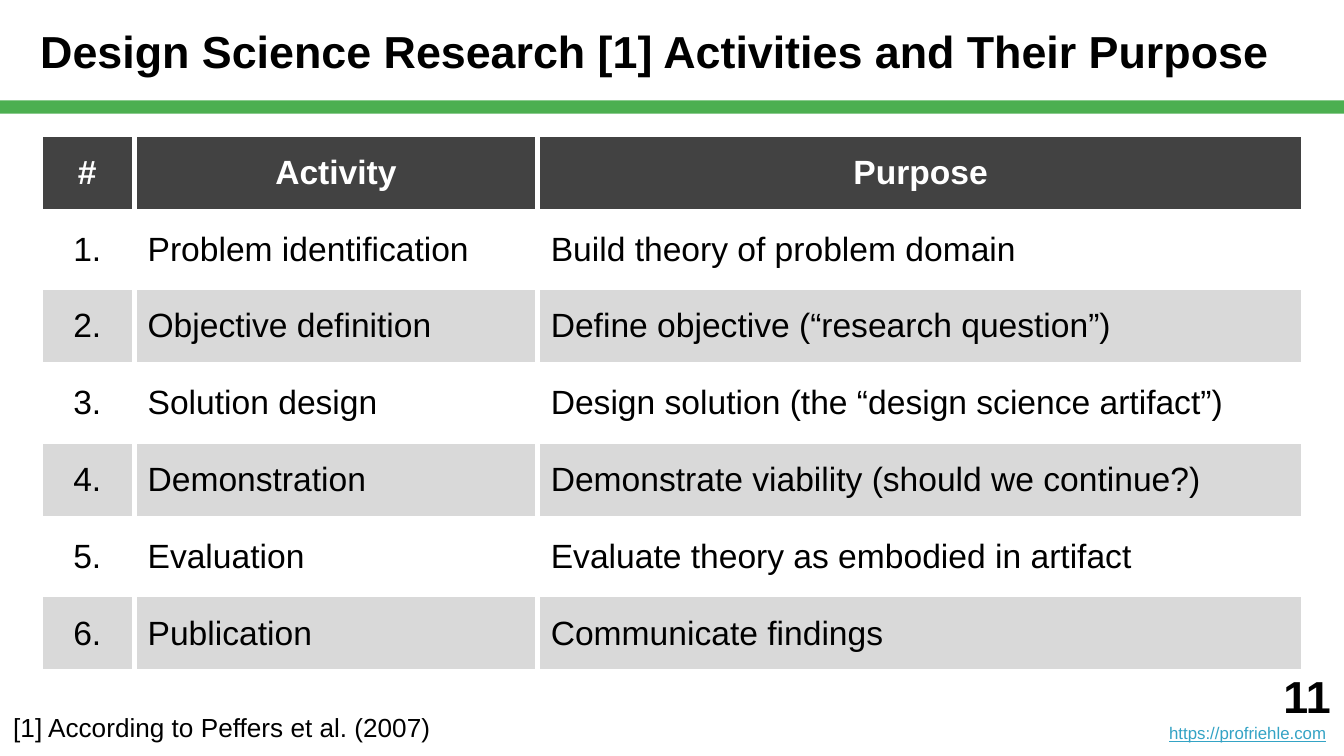
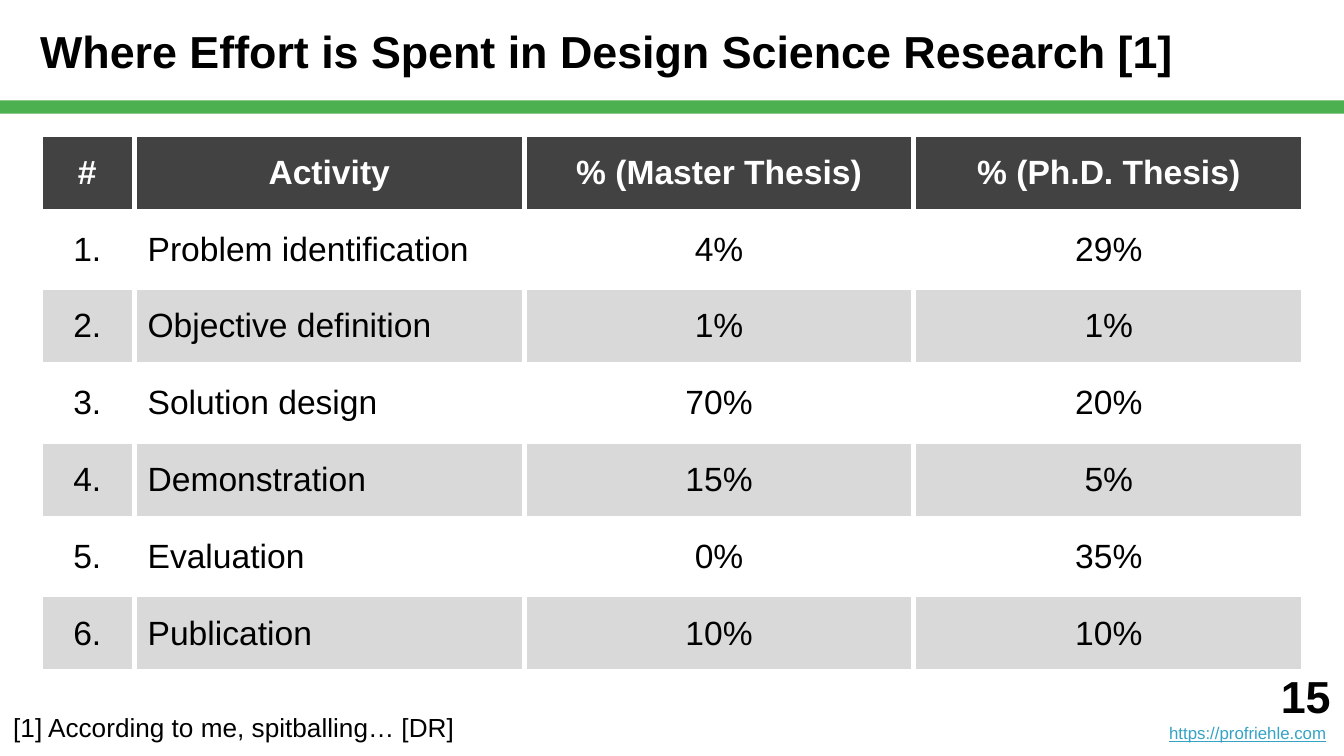
from lxml.etree import SubElement
from pptx import Presentation
from pptx.dml.color import RGBColor
from pptx.enum.shapes import MSO_SHAPE
from pptx.enum.text import MSO_ANCHOR, MSO_AUTO_SIZE, PP_ALIGN
from pptx.oxml.ns import qn
from pptx.util import Cm, Pt

# Shared style, lengths in centimetres
FONT = "Arial"
BLACK, WHITE, GREEN = "000000", "FFFFFF", "4CAF50"
HEADER, STRIPE, LINK, GREY = "424242", "D9D9D9", "34A3C5", "808080"
SLIDE_WIDTH, SLIDE_HEIGHT = 25.4, 14.29
INSET, MARGIN = 0.25, 0.76
TITLE_BOX = (0, 0, SLIDE_WIDTH, 1.9)
BAND_BOX = (0, 1.9, SLIDE_WIDTH, 0.25)
TABLE_BOX = (MARGIN, 2.54, SLIDE_WIDTH - 2 * MARGIN, 10.16)
NOTE_BOX = (0, 11.75, 20.32, 2.54)
NUMBER_BOX = (20.32, 12.26, 5.08, 2.03)
NUMBER_COLUMN = 1.78

ACTIVITIES = ["Problem identification", "Objective definition", "Solution design",
              "Demonstration", "Evaluation", "Publication"]
PURPOSES = ["Build theory of problem domain",
            "Define objective (“research question”)",
            "Design solution (the “design science artifact”)",
            "Demonstrate viability (should we continue?)",
            "Evaluate theory as embodied in artifact",
            "Communicate findings"]
MASTER_SHARES = [4, 1, 70, 15, 0, 10]
DOCTORAL_SHARES = [29, 1, 20, 5, 35, 10]


def color(hex_string):
    return RGBColor.from_string(hex_string)


def write(paragraph, text, size=18, fill=BLACK, bold=False, underline=False,
          align=PP_ALIGN.LEFT):
    paragraph.alignment = align
    run = paragraph.add_run()
    run.text = text
    font = run.font
    font.name, font.size, font.bold = FONT, Pt(size), bold
    font.underline = underline
    font.color.rgb = color(fill)


def set_frame(frame, anchor, left_inset=INSET):
    frame.word_wrap = True
    frame.auto_size = MSO_AUTO_SIZE.NONE
    frame.vertical_anchor = anchor
    frame.margin_left = Cm(left_inset)
    frame.margin_right = frame.margin_top = frame.margin_bottom = Cm(INSET)


def add_text_box(slide, box):
    frame = slide.shapes.add_textbox(*map(Cm, box)).text_frame
    set_frame(frame, MSO_ANCHOR.BOTTOM)
    return frame


def add_band(slide, box):
    band = slide.shapes.add_shape(MSO_SHAPE.RECTANGLE, *map(Cm, box))
    band.shadow.inherit = False
    band.fill.solid()
    band.fill.fore_color.rgb = color(GREEN)
    band.line.fill.background()


def place_title(slide, box, text):
    title = slide.shapes.title
    title.left, title.top, title.width, title.height = map(Cm, box)
    set_frame(title.text_frame, MSO_ANCHOR.MIDDLE, left_inset=MARGIN)
    write(title.text_frame.paragraphs[0], text, size=24, bold=True)


def add_note(slide, box, text):
    write(add_text_box(slide, box).paragraphs[0], text, size=14)


def add_page_number(slide, box, number):
    frame = add_text_box(slide, box)
    write(frame.paragraphs[0], str(number), size=24, bold=True, align=PP_ALIGN.RIGHT)
    address = frame.add_paragraph()
    write(address, "https://profriehle.com", size=9, fill=LINK, underline=True,
          align=PP_ALIGN.RIGHT)
    write(address, " ", size=9, fill=GREY, align=PP_ALIGN.RIGHT)


def format_cell(cell, fill):
    cell.vertical_anchor = MSO_ANCHOR.MIDDLE
    cell.margin_left = cell.margin_right = Cm(INSET)
    cell.margin_top = cell.margin_bottom = Cm(INSET)
    # White borders separate the cells; they must precede the fill
    properties = cell._tc.get_or_add_tcPr()
    for side in ("a:lnL", "a:lnR", "a:lnT", "a:lnB"):
        border = SubElement(properties, qn(side), w=str(Pt(3)))
        SubElement(SubElement(border, qn("a:solidFill")), qn("a:srgbClr"), val=WHITE)
    cell.fill.solid()
    cell.fill.fore_color.rgb = color(fill)


def add_activity_table(slide, box, rows, widths, centered):
    """Fill the box; columns listed in centered have centred body text."""
    table = slide.shapes.add_table(len(rows), len(widths), *map(Cm, box)).table
    table.horz_banding = False
    for column, width in zip(table.columns, widths):
        column.width = Cm(width)
    for row_index, values in enumerate(rows):
        table.rows[row_index].height = Cm(box[3] / len(rows))
        is_header = row_index == 0
        fill = HEADER if is_header else (WHITE if row_index % 2 else STRIPE)
        for column_index, value in enumerate(values):
            cell = table.cell(row_index, column_index)
            format_cell(cell, fill)
            center = is_header or column_index in centered
            write(cell.text_frame.paragraphs[0], value, bold=is_header,
                  fill=WHITE if is_header else BLACK,
                  align=PP_ALIGN.CENTER if center else PP_ALIGN.LEFT)


def add_table_slide(presentation, title, number, note, details, widths, centered):
    """details maps each heading after Activity to its column of values."""
    slide = presentation.slides.add_slide(presentation.slide_layouts[5])
    add_band(slide, BAND_BOX)
    place_title(slide, TITLE_BOX, title)
    add_page_number(slide, NUMBER_BOX, number)
    numbers = [f"{index}." for index in range(1, len(ACTIVITIES) + 1)]
    rows = [["#", "Activity", *details], *zip(numbers, ACTIVITIES, *details.values())]
    add_activity_table(slide, TABLE_BOX, rows, widths, centered)
    add_note(slide, NOTE_BOX, note)


def percent(shares):
    return [f"{share}%" for share in shares]


presentation = Presentation()
presentation.slide_width, presentation.slide_height = Cm(SLIDE_WIDTH), Cm(SLIDE_HEIGHT)
remaining_width = TABLE_BOX[2] - NUMBER_COLUMN

# Activities and purposes
add_table_slide(
    presentation, "Design Science Research [1] Activities and Their Purpose", 11,
    "[1] According to Peffers et al. (2007)", {"Purpose": PURPOSES},
    [NUMBER_COLUMN, 7.62, remaining_width - 7.62], centered={0})

# Effort per activity
add_table_slide(
    presentation, "Where Effort is Spent in Design Science Research [1]", 15,
    "[1] According to me, spitballing… [DR]",
    {"% (Master Thesis)": percent(MASTER_SHARES),
     "% (Ph.D. Thesis)": percent(DOCTORAL_SHARES)},
    [NUMBER_COLUMN] + [remaining_width / 3] * 3, centered={0, 2, 3})

presentation.save("out.pptx")
